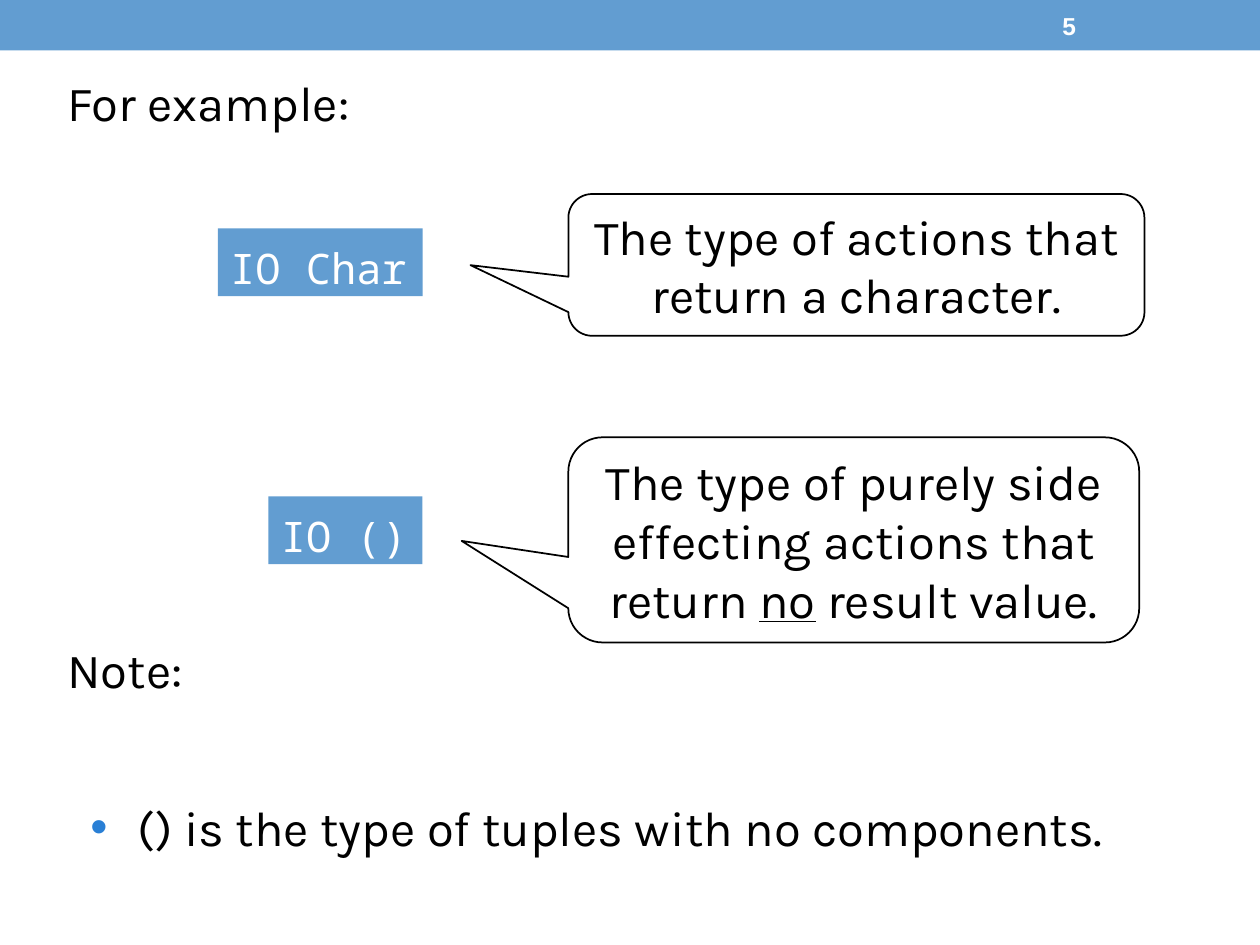
from lxml import etree
from pptx import Presentation
from pptx.dml.color import RGBColor
from pptx.enum.shapes import MSO_SHAPE
from pptx.enum.text import MSO_ANCHOR, MSO_AUTO_SIZE, PP_ALIGN
from pptx.oxml.ns import qn
from pptx.util import Pt

RECTANGLE = MSO_SHAPE.RECTANGLE
CALLOUT = MSO_SHAPE.ROUNDED_RECTANGULAR_CALLOUT
TOP, MIDDLE = MSO_ANCHOR.TOP, MSO_ANCHOR.MIDDLE
LEFT, CENTER = PP_ALIGN.LEFT, PP_ALIGN.CENTER
FIT_SHAPE, NO_FIT = MSO_AUTO_SIZE.SHAPE_TO_FIT_TEXT, MSO_AUTO_SIZE.NONE

COLORS = {"band": "629DD1", "bullet": "297FD5", "ink": "000000", "paper": "FFFFFF"}


class SlideBuilder:
    body_font, code_font, number_font = "Karla", "Noto Sans Mono", "Arial"
    body_size, code_size, number_size = 28, 24, 14

    def __init__(self, slide):
        self.slide = slide

    def color(self, name):
        return RGBColor.from_string(COLORS[name])

    def shape(self, kind, box, fill=None, line=None):
        shape = self.slide.shapes.add_shape(kind, *map(Pt, box))
        shape.shadow.inherit = False
        if fill:
            shape.fill.solid()
            shape.fill.fore_color.rgb = self.color(fill)
        else:
            shape.fill.background()
        if line:
            shape.line.color.rgb = self.color(line)
            shape.line.width = Pt(1)
        else:
            shape.line.fill.background()
        return shape

    def frame(self, shape, anchor=MIDDLE, wrap=True, fit=NO_FIT, align=LEFT):
        frame = shape.text_frame
        frame.word_wrap = wrap
        frame.auto_size = fit
        frame.vertical_anchor = anchor
        paragraph = frame.paragraphs[0]
        paragraph.alignment = align
        return paragraph

    def run(self, paragraph, text, font=body_font, size=body_size,
            color="ink", bold=False, underline=False):
        run = paragraph.add_run()
        run.text = text
        run.font.name = font
        run.font.size = Pt(size)
        run.font.color.rgb = self.color(color)
        run.font.bold = bold
        run.font.underline = underline

    def band(self, box):
        self.shape(RECTANGLE, box, fill="band")

    def page_number(self, box, text):
        shape = self.slide.shapes.add_textbox(*map(Pt, box))
        paragraph = self.frame(shape)
        self.run(paragraph, text, self.number_font, self.number_size, "paper", bold=True)

    def label(self, box, text):
        shape = self.slide.shapes.add_textbox(*map(Pt, box))
        self.run(self.frame(shape, wrap=False, fit=FIT_SHAPE), text)

    def code(self, box, text):
        shape = self.shape(RECTANGLE, box, fill="band")
        paragraph = self.frame(shape, wrap=False, fit=FIT_SHAPE)
        paragraph.line_spacing = 1.2
        self.run(paragraph, text, self.code_font, self.code_size, "paper")

    def callout(self, box, tip, parts):
        shape = self.shape(CALLOUT, box, line="ink")
        for index, value in enumerate((*tip, 0.167)):
            shape.adjustments[index] = value
        paragraph = self.frame(shape, fit=FIT_SHAPE, align=CENTER)
        for text, underline in parts:
            self.run(paragraph, text, underline=underline)

    def bullet(self, box, text):
        shape = self.slide.shapes.add_textbox(*map(Pt, box))
        paragraph = self.frame(shape, anchor=TOP)
        paragraph.space_before = Pt(0.2 * self.body_size)
        properties = paragraph._p.get_or_add_pPr()
        properties.set("marL", str(Pt(27)))
        properties.set("indent", str(-Pt(27)))
        bullet_color = etree.SubElement(properties, qn("a:buClr"))
        etree.SubElement(bullet_color, qn("a:srgbClr"), val=COLORS["bullet"])
        etree.SubElement(properties, qn("a:buFont"), typeface="Arial")
        etree.SubElement(properties, qn("a:buChar"), char="•")
        self.run(paragraph, text)


def main():
    presentation = Presentation()
    presentation.slide_width, presentation.slide_height = Pt(720), Pt(540)
    builder = SlideBuilder(presentation.slides.add_slide(presentation.slide_layouts[6]))

    builder.band((0, 0, 720, 28.8))
    builder.page_number((600, 1.5, 84, 26), "5")
    builder.label((31.5, 37.5, 176.5, 41), "For example:")
    builder.code((124.5, 130.5, 117, 38.7), "IO Char")
    builder.code((153.4, 283.7, 88, 38.7), "IO ()")
    builder.callout((324.8, 110.9, 329.2, 81), (-0.67, 0.002),
                    [("The type of actions that return a character.", False)])
    builder.callout((324.8, 249.9, 326.2, 117.2), (-0.687, 0.005),
                    [("The type of purely side effecting actions that return ", False),
                     ("no", True), (" result value.", False)])
    builder.bullet((44.6, 452.2, 595.4, 49.7),
                   "() is the type of tuples with no components.")
    builder.label((31.5, 361.5, 82.8, 41), "Note:")

    presentation.save("out.pptx")


if __name__ == "__main__":
    main()
